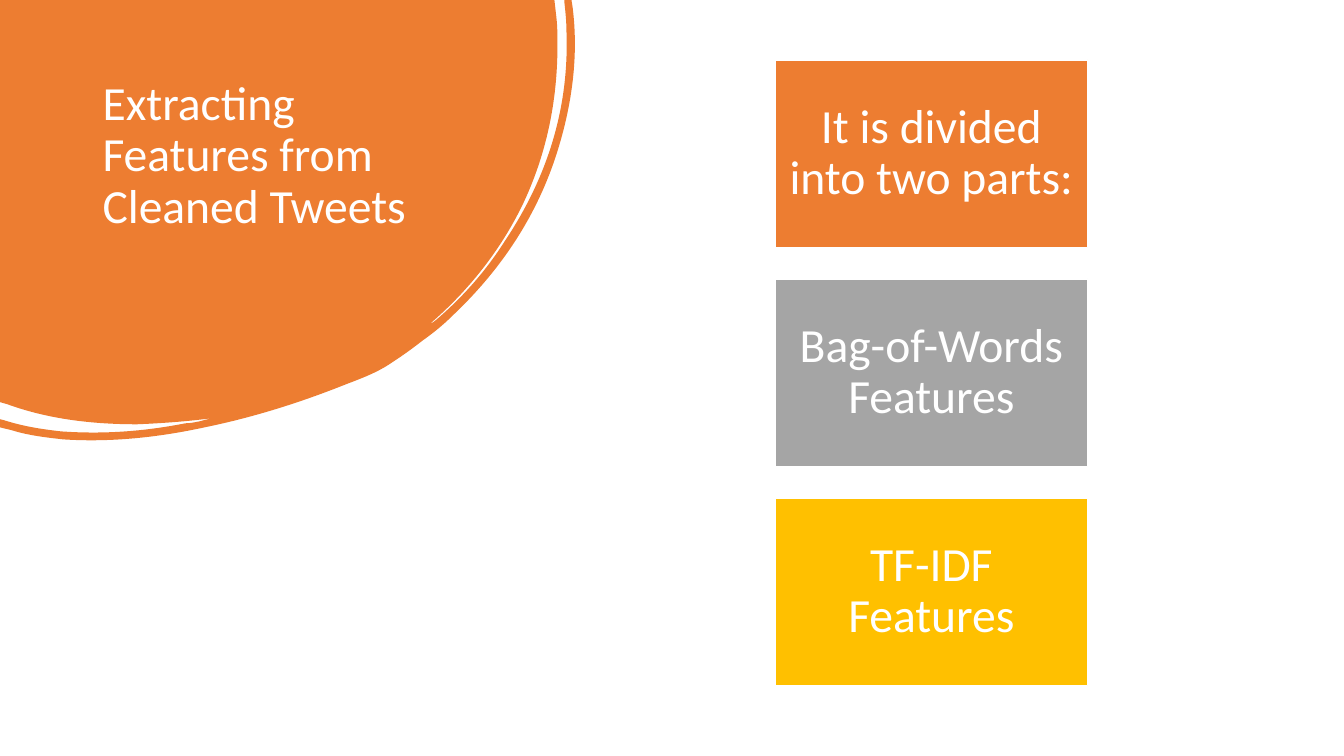
from dataclasses import dataclass

from lxml import etree
from pptx import Presentation
from pptx import util as u
from pptx.dml.color import RGBColor
from pptx.enum import shapes, text
from pptx.oxml import ns


@dataclass(frozen=True)
class Theme:
    """Colours and type used across the slide."""
    orange: str = "ED7D31"
    grey: str = "A5A5A5"
    gold: str = "FFC000"
    white: str = "FFFFFF"
    font: str = "Calibri"
    size: float = 34
    line_spacing: float = 0.9


THEME = Theme()
BLOB_SIZE = (411.1, 314.6)
BLOB_OUTLINE = [
    (0, 0), (396, 0), (397.4, 12.2),
    (398.2, 18.7, 398.2, 25.9, 398.2, 32.4),
    (398.2, 72.7, 390.2, 110.9, 373, 146.9),
    (357.1, 179.3, 334.8, 207.4, 307.4, 231.1),
    (308.9, 231.1, 309.6, 229.7, 311, 229),
    (330.5, 212.4, 347, 193.7, 360.7, 172.1),
    (391, 126.7, 406.8, 77, 404.6, 21.6),
    (404.6, 15.1, 403.9, 8.6, 403.2, 2.2),
    (403.2, 0), (408.2, 0), (409, 5),
    (413.3, 38.9, 409, 73.4, 398.2, 108),
    (383.8, 154.1, 357.8, 193, 322.6, 226.1),
    (316.1, 232.6, 308.9, 238.3, 301.7, 243.4),
    (294.5, 249.1, 287.3, 254.2, 278.6, 259.9),
    (270, 265.7, 259.2, 270, 247.7, 274.3),
    (215.3, 287.3, 181.4, 298.1, 146.2, 305.3),
    (113, 312.5, 79.2, 316.1, 45.4, 313.9),
    (32.4, 312.5, 20.2, 311, 8.6, 307.4),
    (0, 305.3), (0, 299.5), (2.9, 300.2),
    (16.6, 304.6, 30.2, 306.7, 43.9, 308.2),
    (74.2, 310.3, 103, 308.2, 132.5, 302.4),
    (136.1, 302.4, 139, 301.7, 142.6, 301),
    (145.4, 300.2, 148.3, 299.5, 151.2, 298.8),
    (133.9, 301, 115.9, 302.4, 97.9, 303.1),
    (66.2, 303.1, 34.6, 299.5, 5, 288.7),
    (0, 287.3),
]


def color(value):
    """Turn a hex string into a colour."""
    return RGBColor.from_string(value)


def paint(shape, fill):
    """Give a shape a plain fill and no shadow."""
    shape.shadow.inherit = False
    shape.fill.solid()
    shape.fill.fore_color.rgb = color(fill)


def bend_segments(outline_element, segments):
    """Turn the line segments that have control points into cubic curves."""
    lines = outline_element.findall(ns.qn("a:lnTo"))
    for line, segment in zip(lines, segments):
        if len(segment) == 6:
            curve = etree.Element(ns.qn("a:cubicBezTo"))
            for x, y in zip(segment[::2], segment[1::2]):
                etree.SubElement(curve, ns.qn("a:pt"), x=str(u.Pt(x)), y=str(u.Pt(y)))
            outline_element.replace(line, curve)


def add_blob(slide):
    """Draw the rounded corner shape behind the title."""
    points = [(u.Pt(segment[-2]), u.Pt(segment[-1])) for segment in BLOB_OUTLINE]
    builder = slide.shapes.build_freeform(*points[0], scale=1.0)
    builder.add_line_segments(points[1:], close=True)
    blob = builder.convert_to_shape()
    blob.width, blob.height = (u.Pt(length) for length in BLOB_SIZE)
    outline_element = blob.element.find(".//" + ns.qn("a:path"))
    outline_element.set("w", str(blob.width))
    outline_element.set("h", str(blob.height))
    bend_segments(outline_element, BLOB_OUTLINE[1:])
    paint(blob, THEME.orange)
    blob.line.fill.background()


def write(shape, words, alignment, anchor):
    """Write one white paragraph into a shape."""
    frame = shape.text_frame
    frame.word_wrap = True
    frame.vertical_anchor = anchor
    paragraph = frame.paragraphs[0]
    paragraph.alignment = alignment
    paragraph.line_spacing = THEME.line_spacing
    run = paragraph.add_run()
    run.text = words
    run.font.name = THEME.font
    run.font.size = u.Pt(THEME.size)
    run.font.color.rgb = color(THEME.white)


def add_title(slide, words):
    """Place the slide title on the corner shape."""
    title = slide.shapes.add_textbox(u.Pt(66.2), u.Pt(53.2), u.Pt(253.4), u.Pt(159.8))
    write(title, words, text.PP_ALIGN.LEFT, text.MSO_ANCHOR.TOP)


def add_card(slide, top, words, fill):
    """Draw one coloured card with centred text."""
    card = slide.shapes.add_shape(shapes.MSO_SHAPE.RECTANGLE, u.Pt(553.7), u.Pt(top),
                                  u.Pt(223.2), u.Pt(133.9))
    paint(card, fill)
    card.line.color.rgb = color(THEME.white)
    card.line.width = u.Pt(1)
    frame = card.text_frame
    frame.margin_left = frame.margin_right = u.Pt(9.8)
    frame.margin_top = frame.margin_bottom = u.Pt(9.8)
    write(card, words, text.PP_ALIGN.CENTER, text.MSO_ANCHOR.MIDDLE)


def main():
    """Build and save the slide."""
    presentation = Presentation()
    presentation.slide_width, presentation.slide_height = u.Pt(960), u.Pt(540)
    slide = presentation.slides.add_slide(presentation.slide_layouts[6])
    add_blob(slide)
    add_title(slide, "Extracting Features from Cleaned Tweets")
    cards = [
        ("It is divided into two parts:", THEME.orange),
        ("Bag-of-Words Features", THEME.grey),
        ("TF-IDF Features", THEME.gold),
    ]
    for index, (words, fill) in enumerate(cards):
        add_card(slide, 42.8 + 156.5 * index, words, fill)
    presentation.save("out.pptx")


if __name__ == "__main__":
    main()
